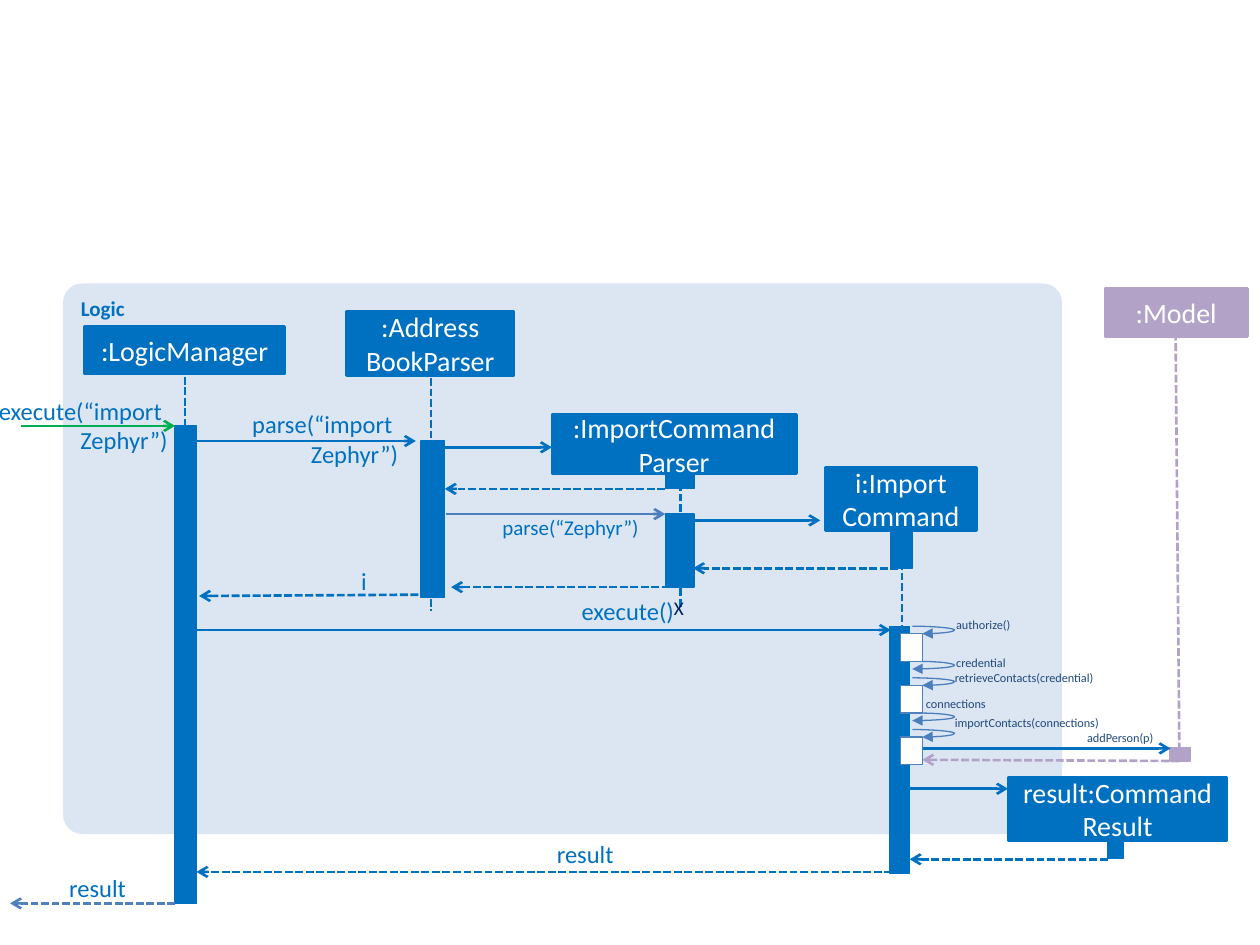
import pptx
import pptx.util
import pptx.dml.color
import pptx.enum.dml
import pptx.enum.shapes
import pptx.enum.text
import pptx.oxml
import pptx.oxml.ns

COLORS = {"logic": "0070C0", "model": "B3A2C7", "panel": "DCE6F2", "white": "FFFFFF",
          "steel": "4F81BD", "curve": "4B7EBC", "entry": "00B050",
          "navy": "1F497D", "end": "002060"}
FONT = "Calibri"
SHAPE = pptx.enum.shapes.MSO_SHAPE
LINK = pptx.enum.shapes.MSO_CONNECTOR
ALIGN = pptx.enum.text.PP_ALIGN
ANCHOR = pptx.enum.text.MSO_ANCHOR

# Paragraphs are lists of lines: name, box, colour
PARTICIPANTS = [
    ([[":LogicManager"]], (0.67, 2.59, 1.59, 0.38), "logic"),
    ([[":Address"], ["BookParser"]], (2.75, 2.47, 1.33, 0.51), "logic"),
    ([[":ImportCommand"], ["Parser"]], (4.38, 3.29, 1.94, 0.47), "logic"),
    ([["i:Import", "Command"]], (6.55, 3.71, 1.2, 0.5), "logic"),
    ([["result:Command Result"]], (8, 6.17, 1.74, 0.5), "logic"),
    ([[":Model"]], (8.77, 2.29, 1.13, 0.38), "model"),
]
LIFELINES = [
    ((1.47, 2.99, 1.47, 5.83), "logic"),
    ((3.42, 3, 3.42, 4.85), "logic"),
    ((5.4, 3.75, 5.4, 4.83), "logic"),
    ((7.16, 4.21, 7.16, 6.33), "logic"),
    ((9.33, 2.64, 9.36, 5.93), "model"),
]
ACTIVATIONS = [
    ((1.39, 3.38, 0.17, 3.79), "logic"),
    ((3.34, 3.5, 0.19, 1.24), "logic"),
    ((5.28, 3.75, 0.23, 0.13), "logic"),
    ((5.28, 4.08, 0.23, 0.58), "logic"),
    ((7.07, 4.21, 0.17, 0.3), "logic"),
    ((7.06, 4.97, 0.16, 1.96), "logic"),
    ((8.79, 6.68, 0.13, 0.13), "logic"),
    ((9.28, 5.93, 0.17, 0.11), "model"),
]
CALLS = [
    ((0.17, 3.38, 1.39, 3.38), "entry"),
    ((1.56, 3.5, 3.3, 3.5), "logic"),
    ((3.48, 3.55, 4.38, 3.55), "logic"),
    ((3.54, 4.08, 5.28, 4.08), "curve"),
    ((5.5, 4.13, 6.51, 4.13), "logic"),
    ((1.56, 5, 7.07, 5), "logic"),
    ((7.28, 5.94, 9.29, 5.94), "logic"),
    ((7.2, 6.26, 8, 6.26), "logic"),
]
RETURNS = [
    ((5.28, 3.88, 3.53, 3.88), "logic"),
    ((7.13, 4.51, 5.5, 4.51), "logic"),
    ((5.4, 4.66, 3.58, 4.66), "logic"),
    ((3.32, 4.72, 1.58, 4.73), "logic"),
    ((9.36, 6.04, 7.32, 6.03), "model"),
    ((8.79, 6.82, 7.22, 6.82), "logic"),
    ((7.08, 6.92, 1.56, 6.92), "logic"),
    ((1.39, 7.17, 0.08, 7.17), "steel"),
]
MESSAGE_LABELS = [
    ([["execute(“import "], ["Zephyr”)"]], (-0.53, 3.14, 1.86, 0.47), 14),
    ([["parse(“import "], ["Zephyr”)"]], (1.6, 3.25, 1.56, 0.47), 14),
    ([["parse(“Zephyr”)"]], (3.96, 4.08, 1.11, 0.2), 12),
    ([["i"]], (2.67, 4.49, 0.24, 0.24), 14),
    ([["execute()"]], (4.41, 4.73, 0.94, 0.24), 14),
    ([["result"]], (4.19, 6.66, 0.68, 0.24), 14),
    ([["result"]], (0.17, 6.93, 0.83, 0.24), 14),
]
SMALL_LABELS = [
    ("authorize()", 7.49, 4.85, 0.85),
    ("credential", 7.49, 5.15, 0.89),
    ("retrieveContacts(credential)", 7.48, 5.27, 1.81),
    ("connections", 7.25, 5.48, 0.89),
    ("importContacts(connections)", 7.48, 5.63, 1.85),
    ("addPerson(p)", 8.53, 5.75, 0.89),
]
SELF_CALLS, SELF_TOP, SELF_STEP = 3, 5.03, 0.41
SELF_LEFT, SELF_WIDTH, SELF_HEIGHT = 7.15, 0.17, 0.22
LOOP_WIDTH, LOOP_HEIGHT = 0.08, 0.06

deck = pptx.Presentation()
deck.slide_width, deck.slide_height = pptx.util.Inches(10), pptx.util.Inches(7.5)
slide = deck.slides.add_slide(deck.slide_layouts[6])


def inches(values):
    """Turn numbers into lengths."""
    return [pptx.util.Inches(value) for value in values]


def rgb(name):
    """Look up a named colour."""
    return pptx.dml.color.RGBColor.from_string(COLORS[name])


def write(frame, paragraphs, size, color, align=ALIGN.LEFT, bold=None):
    """Fill a text frame with paragraphs made of lines."""
    for index, lines in enumerate(paragraphs):
        paragraph = frame.add_paragraph() if index else frame.paragraphs[0]
        paragraph.alignment = align
        for number, words in enumerate(lines):
            if number:
                paragraph.add_line_break()
            run = paragraph.add_run()
            run.text = words
            run.font.name, run.font.size = FONT, pptx.util.Pt(size)
            run.font.bold, run.font.color.rgb = bold, rgb(color)


def block(box, fill, line=None, width=0.75, kind=SHAPE.RECTANGLE):
    """Draw a filled shape."""
    shape = slide.shapes.add_shape(kind, *inches(box))
    shape.shadow.inherit = False
    shape.fill.solid()
    shape.fill.fore_color.rgb = rgb(fill)
    if line:
        shape.line.color.rgb = rgb(line)
        shape.line.width = pptx.util.Pt(width)
    else:
        shape.line.fill.background()
    return shape


def link(ends, color, dashed=False, arrow="arrow", width=1.5, bulge=None):
    """Draw a line, or a curved loop if a bulge is given."""
    kind = LINK.STRAIGHT if bulge is None else LINK.CURVE
    line = slide.shapes.add_connector(kind, *inches(ends))
    line.line.color.rgb = rgb(color)
    line.line.width = pptx.util.Pt(width)
    if dashed:
        line.line.dash_style = pptx.enum.dml.MSO_LINE.SQUARE_DOT
    sub = pptx.oxml.ns.qn
    properties = line._element.spPr
    if arrow:
        outline = properties.find(sub("a:ln"))
        outline.append(outline.makeelement(sub("a:tailEnd"), {"type": arrow}))
    if bulge is not None:
        guides = properties.find(sub("a:prstGeom")).find(sub("a:avLst"))
        guides.append(guides.makeelement(
            sub("a:gd"), {"name": "adj1", "fmla": f"val {round(bulge * 100000)}"}))
    properties.append(properties.makeelement(sub("a:effectLst"), {}))


def label(paragraphs, box, size, color, align=ALIGN.LEFT, inset=None, wrap=True):
    """Place a text box."""
    frame = slide.shapes.add_textbox(*inches(box)).text_frame
    frame.word_wrap = wrap
    frame.auto_size = pptx.enum.text.MSO_AUTO_SIZE.SHAPE_TO_FIT_TEXT
    if inset is not None:
        frame.margin_left = frame.margin_right = inset
        frame.margin_top = frame.margin_bottom = inset
    write(frame, paragraphs, size, color, align)


logic = block((0.5, 2.25, 7.93, 4.37), "panel", kind=SHAPE.ROUNDED_RECTANGLE)
logic.adjustments[0] = 0.035
logic.text_frame.vertical_anchor = ANCHOR.TOP
write(logic.text_frame, [["Logic"]], 12, "logic", bold=True)

for ends, color in LIFELINES:
    link(ends, color, dashed=True, arrow=None)
for box, color in ACTIVATIONS:
    block(box, color, color)
for name, box, color in PARTICIPANTS:
    head = block(box, color, color, 1.5)
    head.text_frame.vertical_anchor = ANCHOR.MIDDLE
    write(head.text_frame, name, 16, "white", ALIGN.CENTER)
for ends, color in CALLS:
    link(ends, color)
for ends, color in RETURNS:
    link(ends, color, dashed=True)

loop_right = SELF_LEFT + SELF_WIDTH
loop_left = loop_right - LOOP_WIDTH
for step in range(SELF_CALLS):
    top = SELF_TOP + step * SELF_STEP
    bottom = top + SELF_HEIGHT
    block((SELF_LEFT, top, SELF_WIDTH, SELF_HEIGHT), "white", "steel")
    link((loop_left, top - LOOP_HEIGHT, loop_right, top), "curve",
         arrow="triangle", width=0.75, bulge=4.2)
    if step < SELF_CALLS - 1:
        link((loop_right, bottom, loop_left, bottom + LOOP_HEIGHT), "curve",
             arrow="triangle", width=0.75, bulge=-3.2)

for words, box, size in MESSAGE_LABELS:
    label(words, box, size, "logic", ALIGN.RIGHT, inset=0)
for words, left, top, width in SMALL_LABELS:
    label([[words]], (left, top, width, 0.22), 7, "navy")
label([["X"]], (5.25, 4.68, 0.28, 0.29), 11, "end", wrap=False)

deck.save("out.pptx")
